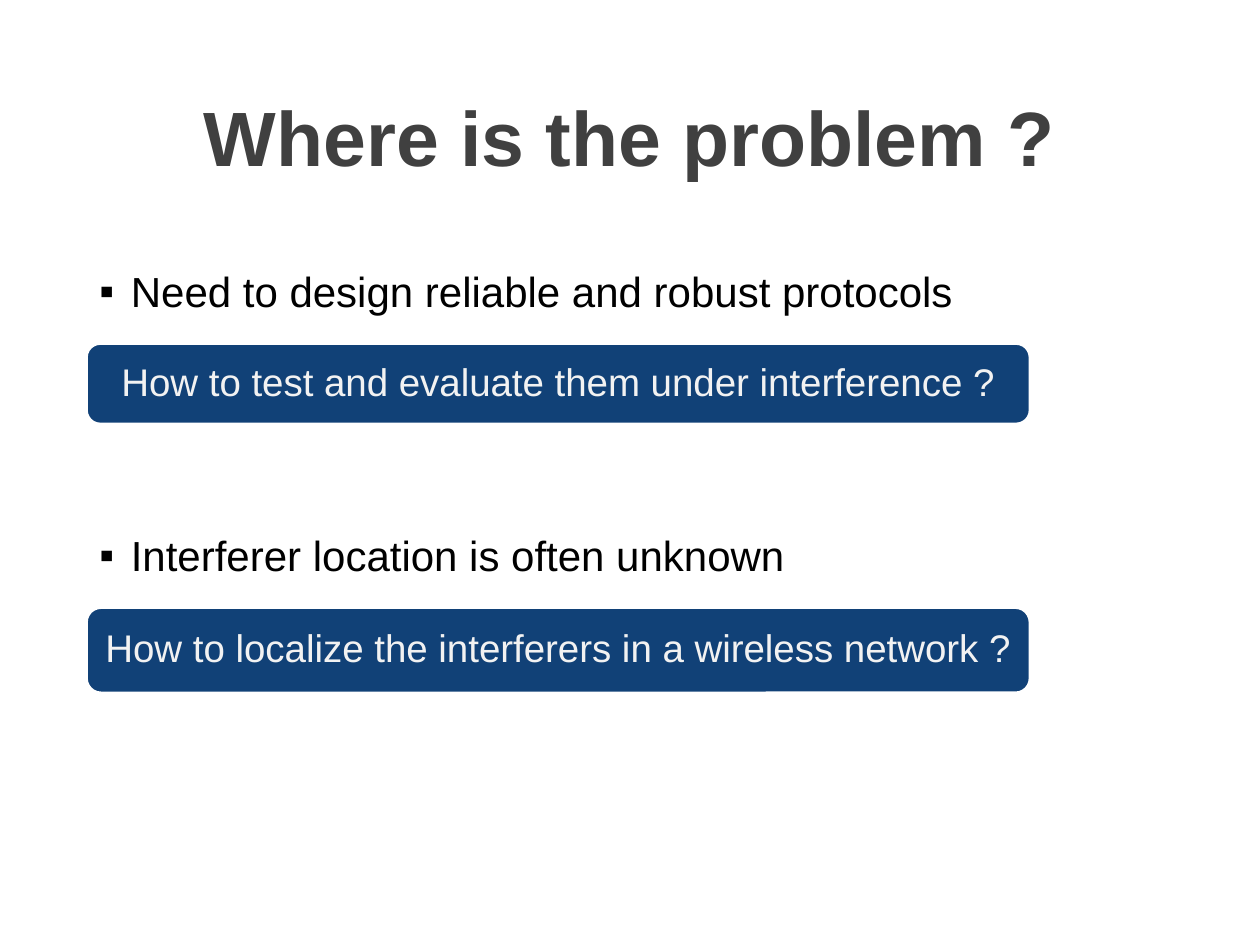
from dataclasses import dataclass

from lxml.etree import SubElement
from pptx import Presentation
from pptx.dml.color import RGBColor
from pptx.enum.shapes import MSO_SHAPE
from pptx.enum.text import MSO_ANCHOR, PP_ALIGN
from pptx.oxml.ns import qn
from pptx.util import Pt

TITLE = "Where is the problem ?"
# Statement, its box width, the question it raises, question box height
PROBLEMS = [
    ("Need to design reliable and robust protocols", 516.2,
     "How to test and evaluate them under interference ?", 45.4),
    ("Interferer location is often unknown", 428.4,
     "How to localize the interferers in a wireless network ?", 48.2),
]


@dataclass(frozen=True)
class Theme:
    font: str = "Arial"
    title_color: str = "404040"
    statement_color: str = "000000"
    question_color: str = "F2F2F2"
    question_fill: str = "114177"
    question_line: str = "FFFFFF"
    title_size: float = 44
    statement_size: float = 24
    question_size: float = 22


THEME = Theme()
LEFT = 49.7
TITLE_TOP, TITLE_WIDTH, TITLE_HEIGHT = 28.8, 620.6, 104.4
FIRST_TOP, PROBLEM_PITCH = 151.2, 150.9
STATEMENT_HEIGHT = 45.4
QUESTION_WIDTH = 538.6
BULLET_INDENT = 18


def write(shape, text, *, size, color, bold=False, align=PP_ALIGN.CENTER,
          anchor=MSO_ANCHOR.MIDDLE, bullet=None):
    frame = shape.text_frame
    frame.word_wrap = True
    frame.vertical_anchor = anchor
    paragraph = frame.paragraphs[0]
    paragraph.text = text
    paragraph.alignment = align
    paragraph.line_spacing = 0.9
    paragraph.space_before = Pt(0)
    if bullet:
        properties = paragraph._p.get_or_add_pPr()
        properties.set("marL", str(Pt(BULLET_INDENT)))
        properties.set("indent", str(-Pt(BULLET_INDENT)))
        SubElement(properties, qn("a:buFont"), typeface=THEME.font)
        SubElement(properties, qn("a:buChar"), char=bullet)
    font = paragraph.runs[0].font
    font.name = THEME.font
    font.size = Pt(size)
    font.bold = bold
    font.color.rgb = RGBColor.from_string(color)


def add_title(slide):
    title = slide.shapes.title
    title.left, title.top = Pt(LEFT), Pt(TITLE_TOP)
    title.width, title.height = Pt(TITLE_WIDTH), Pt(TITLE_HEIGHT)
    write(title, TITLE, size=THEME.title_size, color=THEME.title_color, bold=True)


def add_statement(slide, text, top, width):
    statement = slide.shapes.add_textbox(
        Pt(LEFT), Pt(top), Pt(width), Pt(STATEMENT_HEIGHT))
    write(statement, text, size=THEME.statement_size, color=THEME.statement_color,
          align=PP_ALIGN.LEFT, anchor=MSO_ANCHOR.TOP, bullet="▪")


def add_question(slide, text, top, height):
    question = slide.shapes.add_shape(
        MSO_SHAPE.ROUNDED_RECTANGLE, Pt(LEFT), Pt(top), Pt(QUESTION_WIDTH), Pt(height))
    question.shadow.inherit = False
    question.fill.solid()
    question.fill.fore_color.rgb = RGBColor.from_string(THEME.question_fill)
    question.line.color.rgb = RGBColor.from_string(THEME.question_line)
    question.line.width = Pt(1)
    write(question, text, size=THEME.question_size, color=THEME.question_color)


def main():
    presentation = Presentation()
    presentation.slide_width, presentation.slide_height = Pt(720), Pt(540)
    slide = presentation.slides.add_slide(presentation.slide_layouts[5])
    add_title(slide)
    for index, (statement, width, question, height) in enumerate(PROBLEMS):
        top = FIRST_TOP + index * PROBLEM_PITCH
        add_statement(slide, statement, top, width)
        add_question(slide, question, top + STATEMENT_HEIGHT, height)
    presentation.save("out.pptx")


if __name__ == "__main__":
    main()
